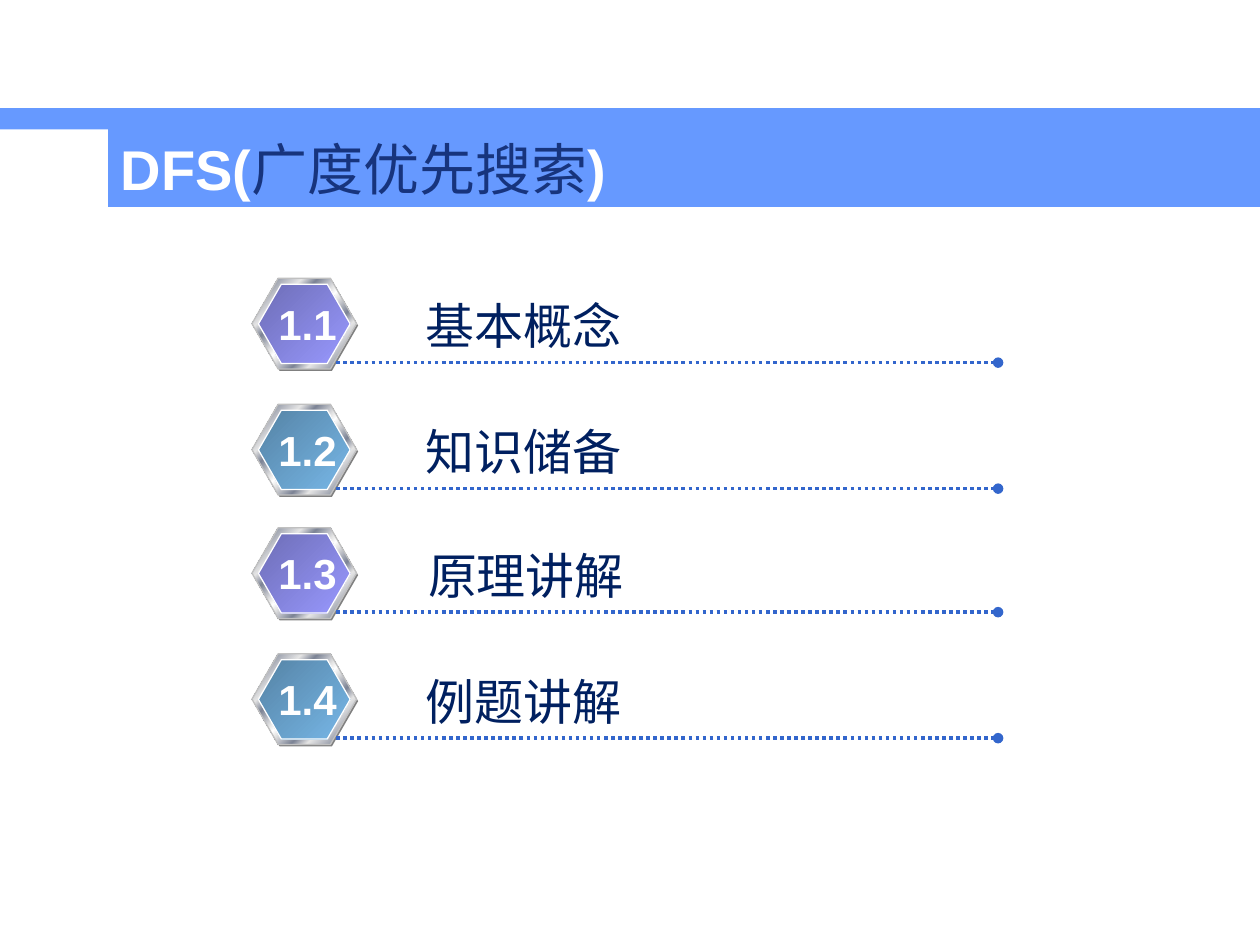
from lxml import etree
from pptx import Presentation
from pptx.dml.color import RGBColor
from pptx.enum.dml import MSO_LINE
from pptx.enum.shapes import MSO_CONNECTOR, MSO_SHAPE
from pptx.enum.text import MSO_ANCHOR, MSO_AUTO_SIZE, PP_ALIGN
from pptx.oxml.ns import qn
from pptx.util import Cm, Pt

RECTANGLE = MSO_SHAPE.RECTANGLE
HEXAGON = MSO_SHAPE.HEXAGON
STRAIGHT = MSO_CONNECTOR.STRAIGHT
DOTTED = MSO_LINE.ROUND_DOT
MIDDLE = MSO_ANCHOR.MIDDLE
TOP = MSO_ANCHOR.TOP
LEFT = PP_ALIGN.LEFT
CENTER = PP_ALIGN.CENTER
FIXED = MSO_AUTO_SIZE.NONE
GROW = MSO_AUTO_SIZE.SHAPE_TO_FIT_TEXT

COLORS = {
    "band": "6699FF",
    "white": "FFFFFF",
    "title": "17347D",
    "label": "002060",
    "shadow": "808080",
    "rim": "C0C0C0",
    "dots": "3366CC",
    "silver": "E6E6E6",
    "steel": "7D8496",
    "violet_dark": "6D6DB6",
    "violet": "9999FF",
    "blue_dark": "5583A5",
    "blue": "77B7E7",
}

METAL = [(0, "silver"), (8, "steel"), (26, "silver"), (34, "steel"),
         (46, "silver"), (50, "white"), (54, "silver"), (66, "steel"),
         (74, "silver"), (92, "steel"), (100, "silver")]
VIOLET = [(0, "violet_dark"), (100, "violet")]
BLUE = [(0, "blue_dark"), (100, "blue")]

TITLE_FORMAT = {"name": "Arial", "size": Pt(32)}
LABEL_FORMAT = {"name": "Arial", "size": Pt(28), "bold": False}
NUMBER_FORMAT = {"name": "Arial", "size": Pt(24), "bold": True}
TITLE_FRAME = {"word_wrap": True, "auto_size": FIXED, "vertical_anchor": MIDDLE}
ITEM_FRAME = {"word_wrap": False, "auto_size": GROW, "vertical_anchor": TOP}

TOPICS = [
    ("1.1", "基本概念", 5.61, 8.33, VIOLET),
    ("1.2", "知识储备", 8.15, 8.33, BLUE),
    ("1.3", "原理讲解", 10.64, 8.38, VIOLET),
    ("1.4", "例题讲解", 13.18, 8.33, BLUE),
]


def rgb(color):
    return RGBColor.from_string(COLORS[color])


def apply_format(target, values):
    for attribute, value in values.items():
        setattr(target, attribute, value)


def fill_solid(shape, color):
    shape.fill.solid()
    shape.fill.fore_color.rgb = rgb(color)


def fill_gradient(shape, stops):
    shape.fill.gradient()
    shape.fill.gradient_angle = 315
    stop_list = shape.fill._xPr.find(qn("a:gradFill")).find(qn("a:gsLst"))
    for stop in list(stop_list):
        stop_list.remove(stop)
    for position, color in stops:
        stop = etree.SubElement(stop_list, qn("a:gs"), pos=str(position * 1000))
        etree.SubElement(stop, qn("a:srgbClr"), val=COLORS[color])


def add_run(paragraph, text, color, values):
    run = paragraph.add_run()
    run.text = text
    apply_format(run.font, values)
    run.font.color.rgb = rgb(color)


def add_title(slide):
    title = slide.shapes.title
    apply_format(title, {"left": Cm(2.18), "top": Cm(2.6),
                         "width": Cm(23.22), "height": Cm(1.57)})
    fill_solid(title, "band")
    apply_format(title.text_frame, TITLE_FRAME)
    paragraph = title.text_frame.paragraphs[0]
    paragraph.alignment = LEFT
    for text, color, bold in (("DFS(", "white", True),
                              ("广度优先搜索", "title", False),
                              (")", "white", True)):
        add_run(paragraph, text, color, TITLE_FORMAT | {"bold": bold})


def add_band(slide):
    band = slide.shapes.add_shape(RECTANGLE, 0, Cm(2.18), Cm(25.4), Cm(0.43))
    band.shadow.inherit = False
    fill_solid(band, "band")
    band.line.fill.background()


def add_hexagon(shapes, left, top, width, height, rim=None):
    hexagon = shapes.add_shape(HEXAGON, Cm(left), Cm(top), Cm(width), Cm(height))
    hexagon.shadow.inherit = False
    hexagon.adjustments[0] = 0.289
    if rim:
        hexagon.line.color.rgb = rgb(rim)
        hexagon.line.width = Pt(0.75)
    else:
        hexagon.line.fill.background()
    return hexagon


def add_badge(shapes, top, stops):
    fill_solid(add_hexagon(shapes, 5.11, top + 0.04, 2.11, 1.83), "shadow")
    fill_gradient(add_hexagon(shapes, 5.08, top, 2.11, 1.83, "rim"), METAL)
    fill_gradient(add_hexagon(shapes, 5.21, top + 0.12, 1.85, 1.6, "white"), stops)


def add_dotted_line(shapes, y):
    rule = shapes.add_connector(STRAIGHT, Cm(6.78), Cm(y), Cm(20.12), Cm(y))
    rule.line.color.rgb = rgb("dots")
    rule.line.width = Pt(2)
    rule.line.dash_style = DOTTED
    etree.SubElement(rule.line._get_or_add_ln(), qn("a:tailEnd"), type="oval")
    etree.SubElement(rule._element.spPr, qn("a:effectLst"))


def add_text(shapes, text, box, color, values, alignment):
    textbox = shapes.add_textbox(*map(Cm, box))
    apply_format(textbox.text_frame, ITEM_FRAME)
    paragraph = textbox.text_frame.paragraphs[0]
    paragraph.alignment = alignment
    add_run(paragraph, text, color, values)


def add_topic(slide, number, label, top, label_left, stops):
    shapes = slide.shapes.add_group_shape().shapes
    add_badge(shapes, top, stops)
    add_dotted_line(shapes, top + 1.7)
    add_text(shapes, label, (label_left, top + 0.23, 4.47, 1.45),
             "label", LABEL_FORMAT, LEFT)
    add_text(shapes, number, (5.36, top + 0.28, 1.68, 1.27),
             "white", NUMBER_FORMAT, CENTER)


def main():
    presentation = Presentation()
    presentation.slide_width = Cm(25.4)
    presentation.slide_height = Cm(19.05)
    slide = presentation.slides.add_slide(presentation.slide_layouts[5])
    add_title(slide)
    add_band(slide)
    for topic in TOPICS:
        add_topic(slide, *topic)
    presentation.save("out.pptx")


if __name__ == "__main__":
    main()
